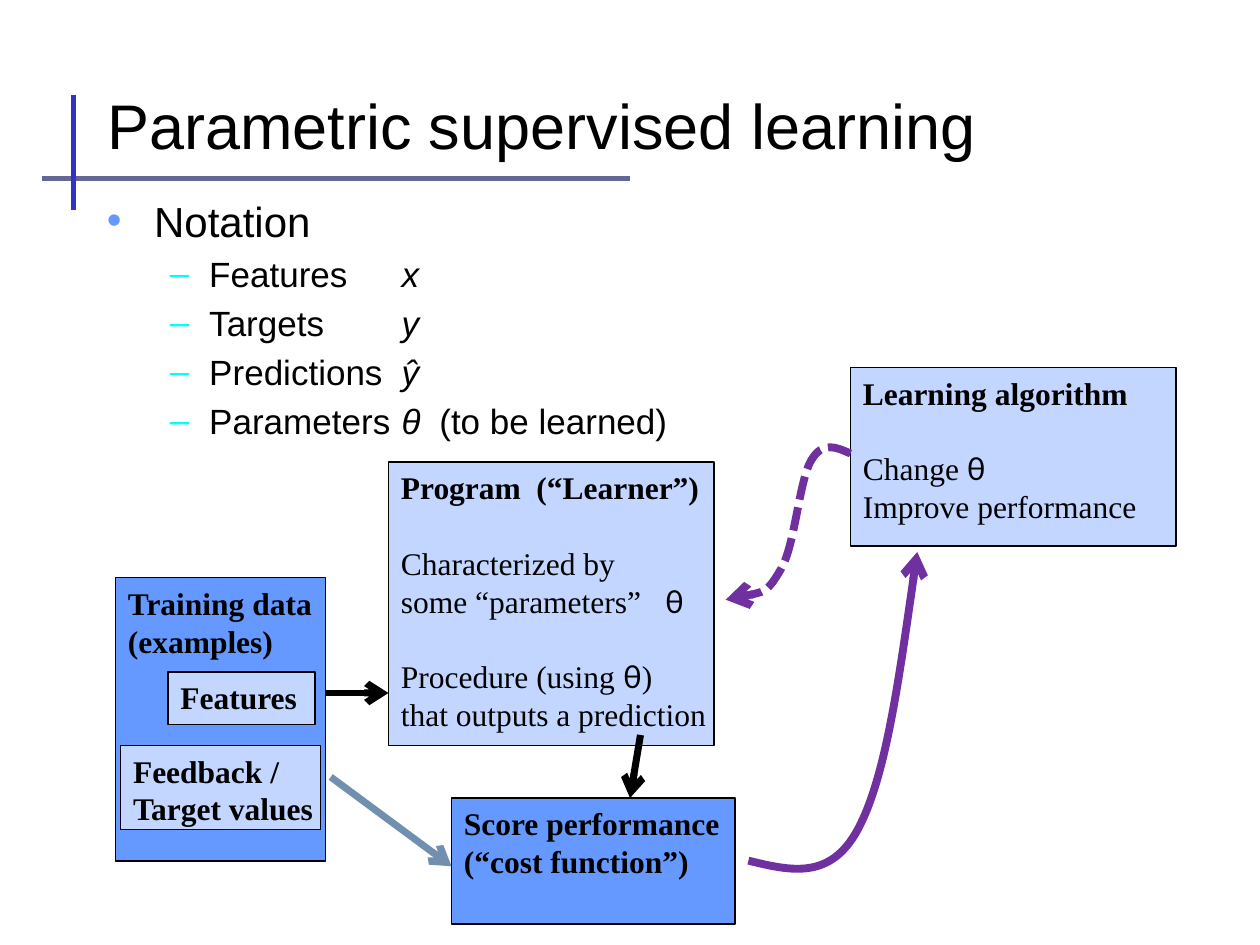
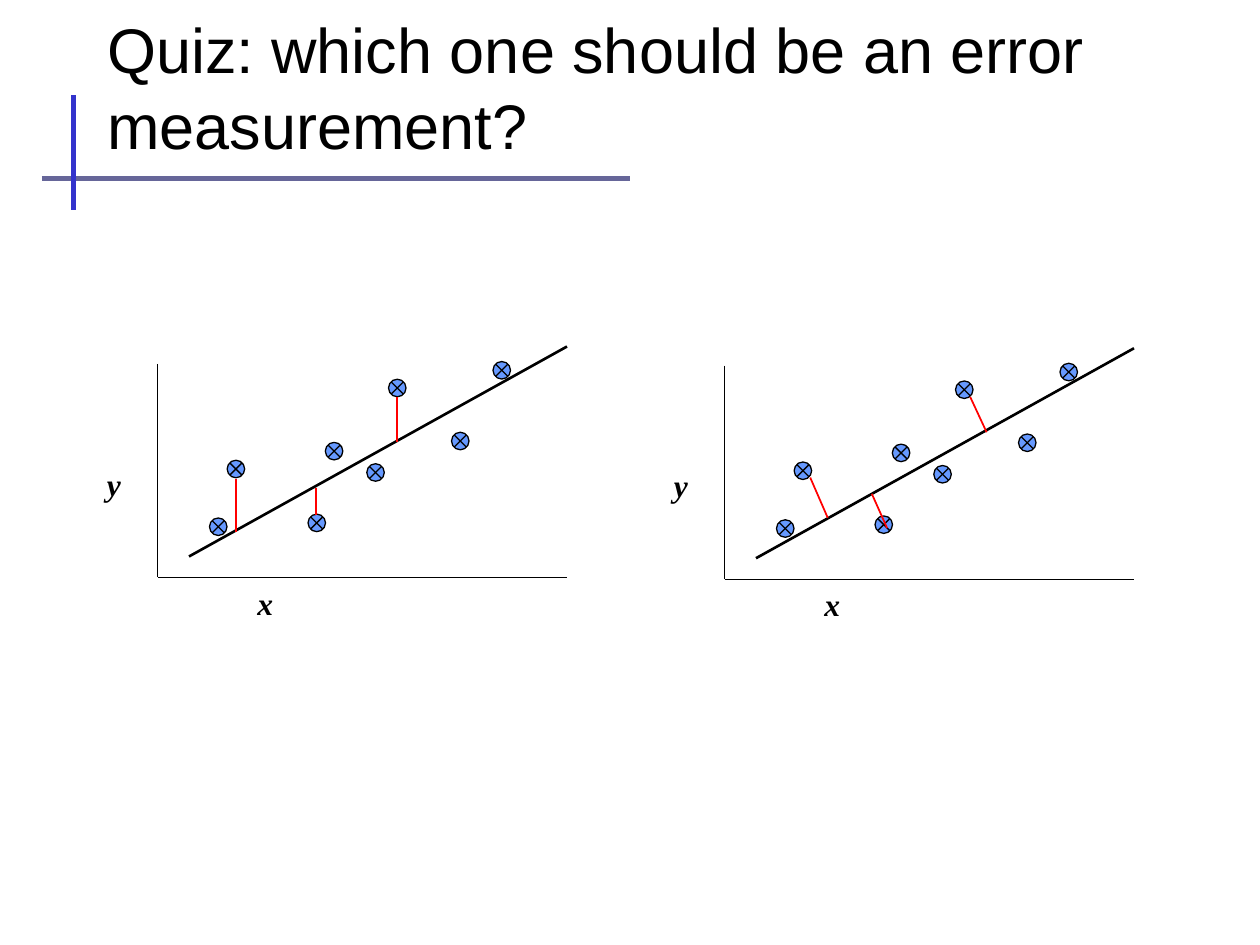
import dataclasses
import lxml.etree
import pptx
import pptx.dml.color
import pptx.enum.dml
import pptx.enum.shapes
import pptx.enum.text
import pptx.oxml.ns
import pptx.util

Pt = pptx.util.Pt
qn = pptx.oxml.ns.qn
Shape = pptx.enum.shapes.MSO_SHAPE
Fit = pptx.enum.text.MSO_AUTO_SIZE
Anchor = pptx.enum.text.MSO_ANCHOR


@dataclasses.dataclass(frozen=True)
class Theme:
    ink: str = "000000"
    blue: str = "6699FF"
    pale: str = "C2D6FF"
    cyan: str = "00FFFF"
    slate: str = "718FAF"
    purple: str = "7030A0"
    red: str = "FF0000"
    rule: str = "666699"
    bar: str = "3333CC"
    sans: str = "Arial"
    serif: str = "Times New Roman"
    greek: str = "Lato"
    title: int = 36
    head: int = 24
    sub: int = 20
    label: int = 18
    blank: float = 21.6  # height of one skipped line


@dataclasses.dataclass
class Para:
    """A paragraph; each run is a text with its own font name and slant."""
    runs: list
    size: int
    bold: bool = False
    italic: bool = False
    gap: float = 0
    tabs: tuple = ()
    bullet: tuple = ()  # sign, colour, margin, hang


def color(code):
    return pptx.dml.color.RGBColor.from_string(code)


def add(parent, tag, **attrs):
    return lxml.etree.SubElement(parent, qn(tag), attrs)


class Deck:
    def __init__(self, theme):
        self.theme = theme
        self.prs = pptx.Presentation()
        self.prs.slide_width, self.prs.slide_height = Pt(720), Pt(540)

    def start(self, title):
        """Open a slide with the shared rules and title."""
        t = self.theme
        slide = self.prs.slides.add_slide(self.prs.slide_layouts[5])
        self.shapes = slide.shapes
        self.line((24, 102), (360, 102), t.rule, 3)
        self.line((42, 120), (42, 54), t.bar, 3)
        head = self.shapes.title
        head.left, head.top, head.width, head.height = map(Pt, (54, 18, 612, 78))
        self.fill(head.text_frame, [Para([(title, None, None)], t.title)], t.sans,
                  anchor=Anchor.BOTTOM, wrap=True)

    def fill(self, frame, paras, face, anchor=Anchor.TOP, wrap=False, fit=Fit.NONE):
        """Set the paragraphs of a text frame."""
        frame.auto_size, frame.word_wrap = fit, wrap
        frame.vertical_anchor = anchor
        for i, item in enumerate(paras):
            para = frame.paragraphs[0] if i == 0 else frame.add_paragraph()
            props = para._p.get_or_add_pPr()
            if item.bullet:
                sign, tint, margin, hang = item.bullet
                props.set("marL", str(Pt(margin)))
                props.set("indent", str(-Pt(hang)))
                add(add(props, "a:buClr"), "a:srgbClr", val=tint)
                add(props, "a:buFont", typeface=face)
                add(props, "a:buChar", char=sign)
            if item.tabs:
                stops = add(props, "a:tabLst")
                for stop in item.tabs:
                    add(stops, "a:tab", pos=str(Pt(stop)), algn="l")
            para.alignment = pptx.enum.text.PP_ALIGN.LEFT
            para.space_before = Pt(item.gap)
            font = para.font
            font.name, font.size = face, Pt(item.size)
            font.bold, font.italic = item.bold, item.italic
            font.color.rgb = color(self.theme.ink)
            for text, name, slant in item.runs:
                run = para.add_run()
                run.text = text
                if name:
                    run.font.name = name
                if slant:
                    run.font.italic = True

    def text(self, x, y, w, h, paras, face, **opts):
        box = self.shapes.add_textbox(Pt(x), Pt(y), Pt(w), Pt(h))
        self.fill(box.text_frame, paras, face, **opts)

    def shape(self, kind, x, y, w, h, tint):
        item = self.shapes.add_shape(kind, Pt(x), Pt(y), Pt(w), Pt(h))
        item.shadow.inherit = False
        item.fill.solid()
        item.fill.fore_color.rgb = color(tint)
        self.stroke(item, self.theme.ink, 0.75)
        return item

    def box(self, x, y, w, h, tint, paras):
        item = self.shape(Shape.RECTANGLE, x, y, w, h, tint)
        self.fill(item.text_frame, paras, self.theme.serif)

    def stroke(self, item, tint, width, arrow=False, dash=None):
        item.line.color.rgb = color(tint)
        item.line.width = Pt(width)
        if dash:
            item.line.dash_style = dash
        if arrow:
            add(item.element.spPr.find(qn("a:ln")), "a:tailEnd", type="arrow")

    def line(self, start, end, tint, width, arrow=False):
        item = self.shapes.add_connector(
            pptx.enum.shapes.MSO_CONNECTOR.STRAIGHT, *map(Pt, start + end))
        self.stroke(item, tint, width, arrow)
        add(item.element.spPr, "a:effectLst")

    def curve(self, points, tint, width, dash=None):
        """Draw Bézier arcs: a start, then three points for each arc."""
        spots = [(Pt(x), Pt(y)) for x, y in points]
        build = self.shapes.build_freeform(*spots[0])
        build.add_line_segments(spots[1:], close=False)
        item = build.convert_to_shape()
        steps = list(item.element.iter(qn("a:lnTo")))
        for i in range(0, len(steps), 3):
            arc = add(steps[i].getparent(), "a:cubicBezTo")
            for step in steps[i:i + 3]:
                arc.append(step[0])
                step.getparent().remove(step)
        item.shadow.inherit = False
        item.fill.background()
        self.stroke(item, tint, width, arrow=True, dash=dash)


def learn(deck):
    t = deck.theme
    deck.start("Parametric supervised learning")

    # Notation list
    paras = [Para([("Notation", None, None)], t.head, bullet=("•", t.blue, 27, 27))]
    for name, sign, note in (("Features", "x", ""), ("Targets", "y", ""),
                             ("Predictions", "ŷ", ""),
                             ("Parameters", "θ", "\t(to be learned)")):
        runs = [(name + "\t", None, None), (sign, None, True)]
        if note:
            runs.append((note, None, None))
        paras.append(Para(runs, t.sub, gap=4, tabs=(168.5, 190),
                          bullet=("–", t.cyan, 58.5, 22.5)))
    deck.text(54, 108, 612, 378, paras, t.sans, wrap=True)

    def plain(*parts, **opts):
        runs = [(part, t.greek if part == "θ" else None, None) for part in parts]
        return Para(runs, t.label, **opts)

    def bold(*lines):
        return [plain(line, bold=True) for line in lines]

    # Boxes and flow
    deck.box(222, 264, 186, 162, t.pale, [
        plain("Program\t(“Learner”)", bold=True, tabs=(77.5,)),
        plain("Characterized by", gap=t.blank),
        plain("some “parameters”\t", "θ", tabs=(151,)),
        plain("Procedure (using ", "θ", ")", gap=t.blank),
        plain("that outputs a prediction")])
    deck.box(66, 330, 120, 162, t.blue, bold("Training data", "(examples)"))
    deck.box(96, 384, 84, 30, t.pale, bold("Features"))
    deck.line((186, 396), (222, 396), t.ink, 4, arrow=True)
    deck.box(486, 210, 186, 102, t.pale, bold("Learning algorithm") + [
        plain("Change ", "θ", gap=t.blank),
        plain("Improve performance")])
    deck.curve([(427.7, 491.8), (451.4, 497.5), (474.5, 503.3), (490.3, 473.8),
                (506.2, 444.2), (514.8, 380.2), (524.2, 315.4)], t.purple, 4.5)
    deck.curve([(486, 259.2), (478, 255.6), (470.2, 252), (463.7, 262.8),
                (456.5, 274.3), (454.3, 313.2), (445.7, 326.2),
                (437.8, 339.8), (426.2, 341.3), (414.7, 342.7)],
               t.purple, 4.5, dash=pptx.enum.dml.MSO_LINE.SQUARE_DOT)
    deck.box(69, 426, 114, 48, t.pale, bold("Feedback /", "Target values"))
    deck.box(258, 456, 162, 72, t.blue,
             bold("Score performance", "(“cost function”)"))
    deck.line((189, 444), (258, 495), t.slate, 4, arrow=True)
    deck.line((366, 420), (360, 456), t.ink, 4, arrow=True)


# Dot centres and errors, right of and above the origin of a plot
DOTS = ((34.7, 29), (100.9, 72.2), (44.8, 62), (137, 108.3),
        (91, 31.2), (124.6, 60), (173, 78), (196.7, 118.4))
DOWN = (((44.8, 56.4), (44.8, 26.2)), ((136.8, 103.2), (136.8, 77.3)),
        ((90.7, 51.4), (90.7, 35.5)))
SLANT = (((49, 58.1), (59, 35.1)), ((140.4, 104.2), (149.8, 84)),
         ((84.2, 48.8), (92.9, 29.3)))


def plot(deck, left, base, errors):
    t = deck.theme

    def at(spot):
        return left + spot[0], base - spot[1]

    # Axes
    for start, end in (((0, 122), (0, 0)), ((0, 0), (234, 0))):
        deck.line(at(start), at(end), t.ink, 0.75)
    # Data, fit and errors
    for right, up in DOTS:
        deck.shape(Shape.FLOWCHART_SUMMING_JUNCTION, *at((right - 5, up + 5)),
                   10, 10, t.blue)
    deck.line(at((18, 12)), at((234, 132)), t.ink, 1.5)
    for start, end in errors:
        deck.line(at(start), at(end), t.red, 1)
    # Axis names
    for name, spot in (("y", (-36, 68)), ("x", (50, 0))):
        deck.text(*at(spot), 29.5, 28.8,
                  [Para([(name, None, None)], t.label, bold=True, italic=True)],
                  t.serif, fit=Fit.SHAPE_TO_FIT_TEXT)


def quiz(deck):
    deck.start("Quiz: which one should be an error measurement?")
    plot(deck, 90, 330, DOWN)
    plot(deck, 414, 331, SLANT)


def main():
    deck = Deck(Theme())
    learn(deck)
    quiz(deck)
    deck.prs.save("out.pptx")


if __name__ == "__main__":
    main()
